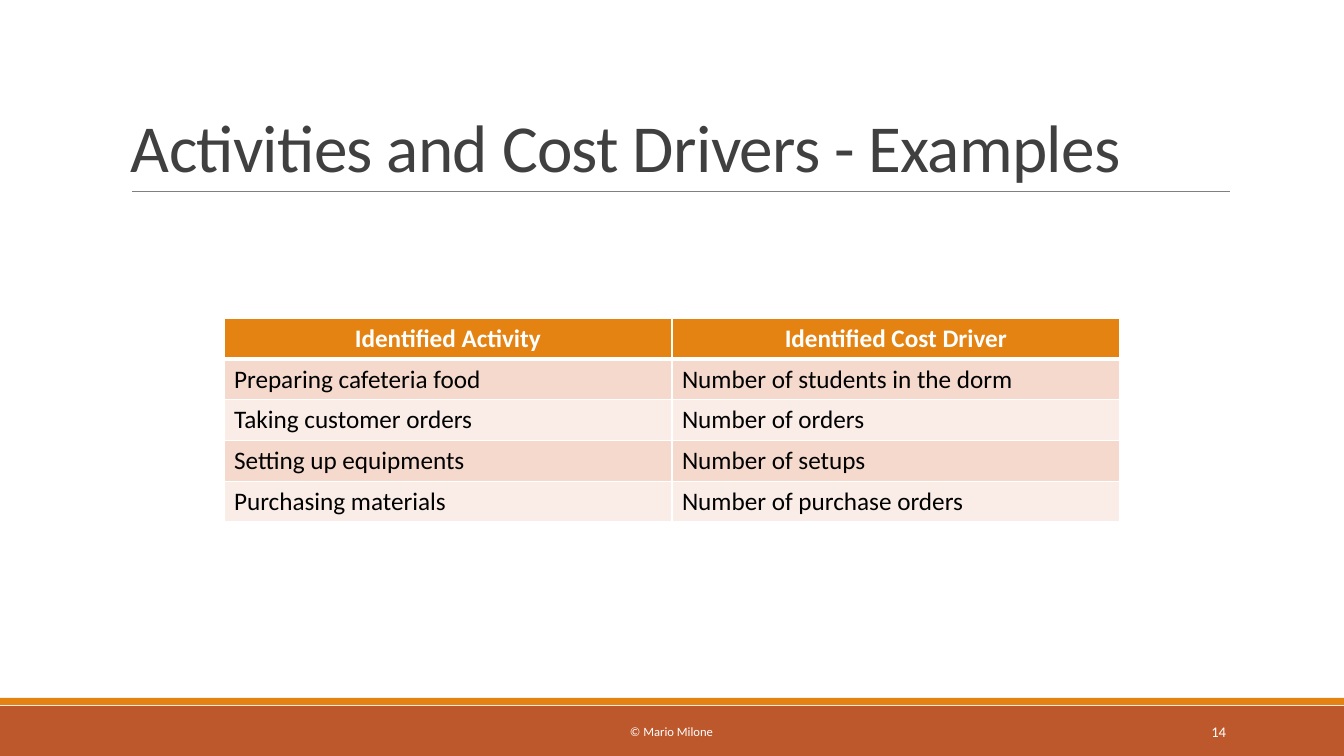
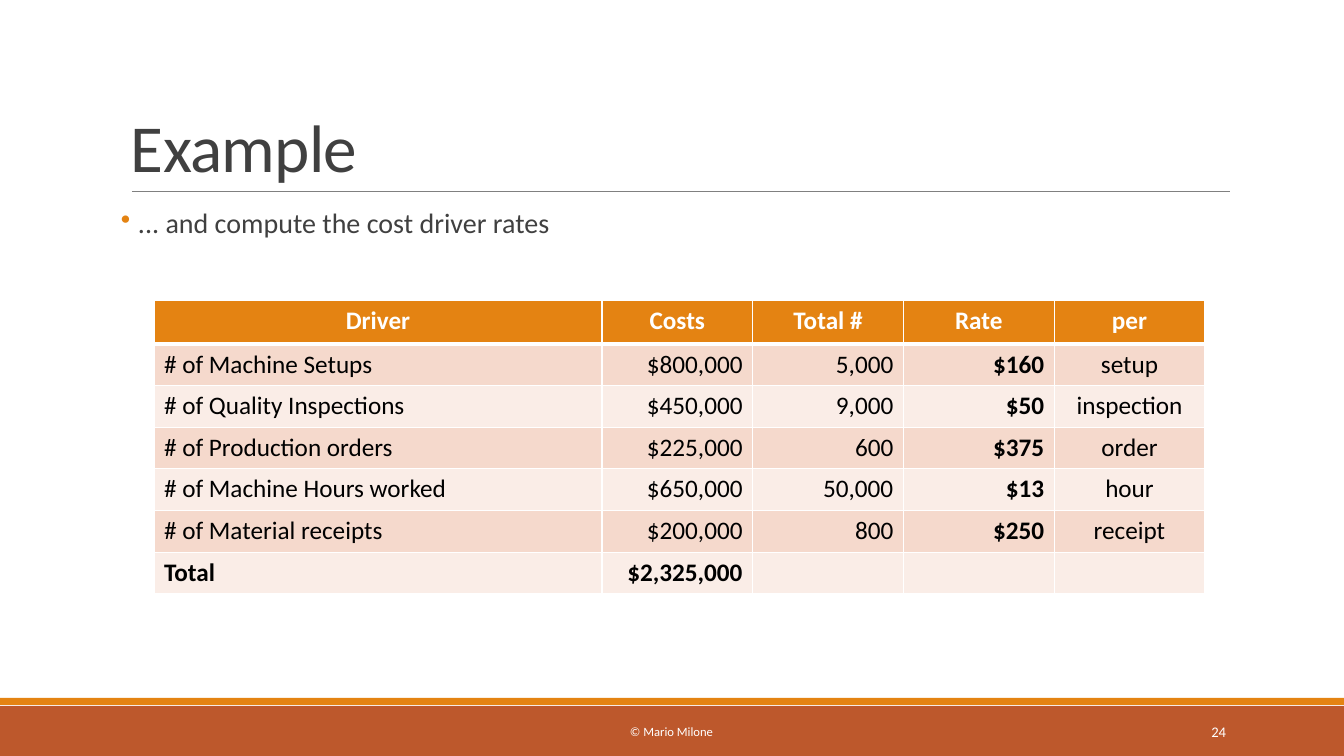
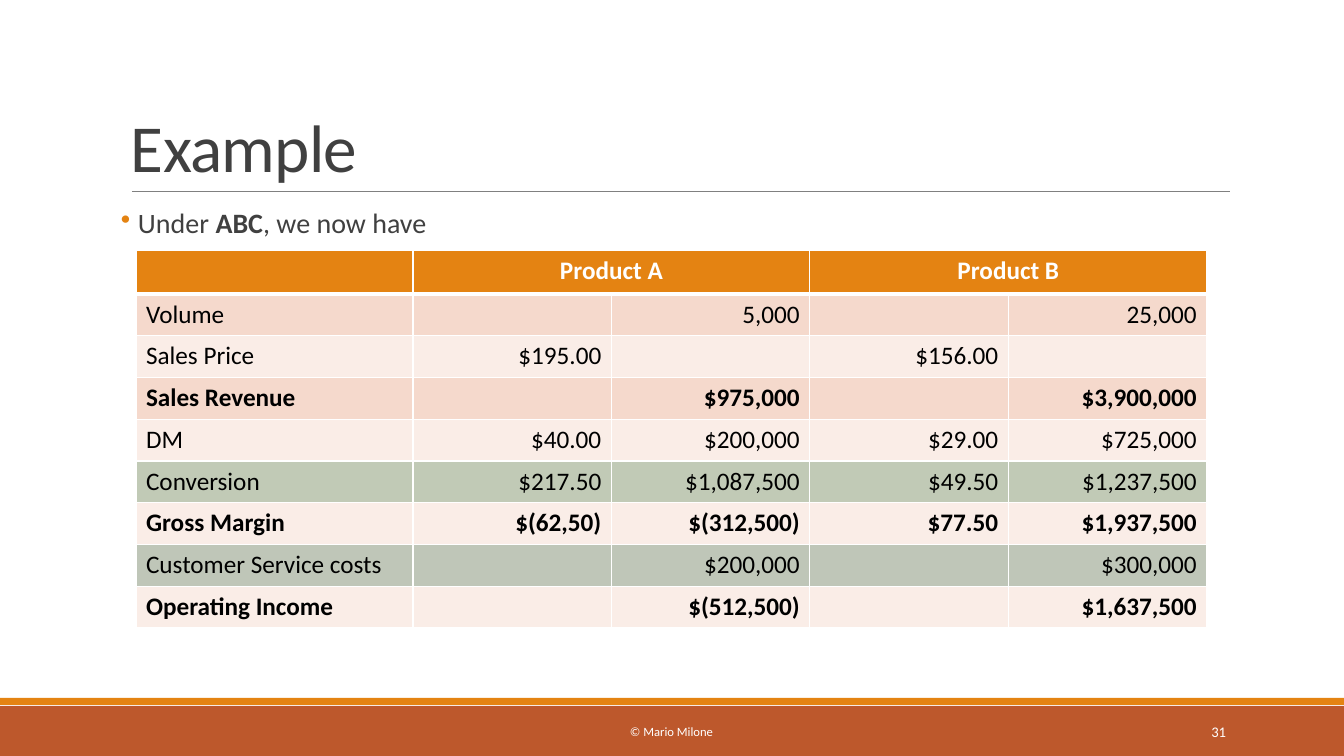
from dataclasses import dataclass

from lxml import etree
from pptx import Presentation
from pptx import util as u
from pptx.dml.color import RGBColor
from pptx.enum import shapes, text
from pptx.oxml.ns import qn

LEFT, CENTER, RIGHT = text.PP_ALIGN.LEFT, text.PP_ALIGN.CENTER, text.PP_ALIGN.RIGHT
TOP, MIDDLE, BOTTOM = text.MSO_ANCHOR.TOP, text.MSO_ANCHOR.MIDDLE, text.MSO_ANCHOR.BOTTOM


@dataclass(frozen=True)
class Theme:
    font: str = "Calibri"
    orange: str = "E48312"
    rust: str = "BD582C"
    ink: str = "404040"
    rule: str = "808080"
    white: str = "FFFFFF"
    black: str = "000000"
    stripes: tuple = ("F5D9CC", "FAEDE7")
    title_size: float = 48
    lead_size: float = 20
    table_size: float = 18
    number_size: float = 10.5
    footer_size: float = 9


THEME = Theme()
SLIDE_WIDTH, SLIDE_HEIGHT = 1344, 756
FOOTER = "© Mario Milone"

# lead: (words, bold) spans; None in a header joins the cell to the one on its left
SLIDES = [
    {
        "title": "Activities and Cost Drivers - Examples",
        "number": "14",
        "table": {
            "area": (224, 318, 896, 204),
            "first_column": 448,
            "header_height": 41,
            "aligns": (LEFT, LEFT),
            "header": ("Identified Activity", "Identified Cost Driver"),
            "rows": [
                ("Preparing cafeteria food", "Number of students in the dorm"),
                ("Taking customer orders", "Number of orders"),
                ("Setting up equipments", "Number of setups"),
                ("Purchasing materials", "Number of purchase orders"),
            ],
        },
    },
    {
        "title": "Example",
        "number": "24",
        "lead": [("... and compute the cost driver rates", False)],
        "table": {
            "area": (154, 300, 1051, 294),
            "first_column": 448,
            "header_height": 44,
            "aligns": (LEFT, RIGHT, RIGHT, RIGHT, CENTER),
            "header": ("Driver", "Costs", "Total #", "Rate", "per"),
            "rows": [
                ("# of Machine Setups", "$800,000", "5,000", "$160", "setup"),
                ("# of Quality Inspections", "$450,000", "9,000", "$50", "inspection"),
                ("# of Production orders", "$225,000", "600", "$375", "order"),
                ("# of Machine Hours worked", "$650,000", "50,000", "$13", "hour"),
                ("# of Material receipts", "$200,000", "800", "$250", "receipt"),
                ("Total", "$2,325,000", "", "", ""),
            ],
            "bold_rows": {"Total"},
            "bold_columns": {"Rate"},
        },
    },
    {
        "title": "Example",
        "number": "31",
        "lead": [("Under ", False), ("ABC", True), (", we now have", False)],
        "table": {
            "area": (136, 250, 1071, 378),
            "first_column": 277,
            "header_height": 44,
            "aligns": (LEFT, RIGHT, RIGHT, RIGHT, RIGHT),
            "header": ("", "Product A", None, "Product B", None),
            "rows": [
                ("Volume", "", "5,000", "", "25,000"),
                ("Sales Price", "$195.00", "", "$156.00", ""),
                ("Sales Revenue", "", "$975,000", "", "$3,900,000"),
                ("DM", "$40.00", "$200,000", "$29.00", "$725,000"),
                ("Conversion", "$217.50", "$1,087,500", "$49.50", "$1,237,500"),
                ("Gross Margin", "$(62,50)", "$(312,500)", "$77.50", "$1,937,500"),
                ("Customer Service costs", "", "$200,000", "", "$300,000"),
                ("Operating Income", "", "$(512,500)", "", "$1,637,500"),
            ],
            "bold_rows": {"Sales Revenue", "Gross Margin", "Operating Income"},
            "row_fills": {"Conversion": "C1CAB6", "Customer Service costs": "BFC6B8"},
        },
    },
]


def px(length):
    return u.Emu(round(length * 12192000 / SLIDE_WIDTH))


def color(code):
    return RGBColor.from_string(code)


def style(font, size, code, bold=False):
    font.name, font.size, font.bold = THEME.font, u.Pt(size), bold
    font.color.rgb = color(code)


def add_text(page, area, spans, size, code, align=LEFT, anchor=TOP, side_inset=10):
    """Add a one-paragraph box made of (words, bold) spans and return the paragraph."""
    frame = page.shapes.add_textbox(*map(px, area)).text_frame
    frame.word_wrap = True
    frame.vertical_anchor = anchor
    frame.margin_left = frame.margin_right = px(side_inset)
    frame.margin_top = frame.margin_bottom = px(5)
    para = frame.paragraphs[0]
    para.alignment = align
    for words, bold in spans:
        span = para.add_run()
        span.text = words
        style(span.font, size, code, bold)
    return para


def add_band(page, top, height, code):
    band = page.shapes.add_shape(
        shapes.MSO_SHAPE.RECTANGLE, 0, px(top), px(SLIDE_WIDTH), px(height))
    band.shadow.inherit = False
    band.fill.solid()
    band.fill.fore_color.rgb = color(code)
    band.line.fill.background()


def add_frame(page, title, number):
    """Add the bands, rule, title and footer found on every slide."""
    add_band(page, 706, 50, THEME.rust)
    add_band(page, 698, 7, THEME.orange)
    rule = page.shapes.add_connector(
        shapes.MSO_CONNECTOR.STRAIGHT, px(132), px(191), px(1230), px(191))
    rule.line.color.rgb = color(THEME.rule)
    rule.line.width = u.Pt(0.5)
    etree.SubElement(rule._element.spPr, qn("a:effectLst"))

    heading = add_text(page, (121, 31, 1109, 160), [(title, False)],
                       THEME.title_size, THEME.ink, anchor=BOTTOM)
    heading.line_spacing = 0.85
    heading.runs[0].font._element.set("spc", "-50")
    add_text(page, (406, 712, 531, 40), [(FOOTER, False)],
             THEME.footer_size, THEME.white, CENTER, MIDDLE)
    add_text(page, (1092, 712, 144, 40), [(number, False)],
             THEME.number_size, THEME.white, RIGHT, MIDDLE)


def add_lead(page, spans):
    para = add_text(page, (121, 204, 1109, 444), spans,
                    THEME.lead_size, THEME.ink, side_inset=0)
    para.line_spacing = 0.9
    para.space_after = u.Pt(2)
    props = para._element.get_or_add_pPr()
    props.set("marL", str(px(17)))
    props.set("indent", str(px(-17)))
    bullet_color = etree.SubElement(props, qn("a:buClr"))
    etree.SubElement(bullet_color, qn("a:srgbClr"), val=THEME.orange)
    etree.SubElement(props, qn("a:buChar"), char="•")


def set_borders(cell, top, bottom):
    """Draw white borders, with the top and bottom widths in points."""
    props = cell._tc.get_or_add_tcPr()
    sides = (("L", 1), ("R", 1), ("T", top), ("B", bottom))
    for place, (side, width) in enumerate(sides):
        line = etree.Element(qn(f"a:ln{side}"), w=str(u.Pt(width)))
        fill = etree.SubElement(line, qn("a:solidFill"))
        etree.SubElement(fill, qn("a:srgbClr"), val=THEME.white)
        props.insert(place, line)


def fill_cell(cell, words, fill, code, align, bold):
    cell.fill.solid()
    cell.fill.fore_color.rgb = color(fill)
    cell.text_frame.text = words
    para = cell.text_frame.paragraphs[0]
    para.alignment = align
    style(para.font, THEME.table_size, code, bold)
    for span in para.runs:
        style(span.font, THEME.table_size, code, bold)


def add_grid(page, data):
    header, rows = data["header"], data["rows"]
    width, height = data["area"][2:]
    grid = page.shapes.add_table(
        len(rows) + 1, len(header), *map(px, data["area"])).table

    first, top = data["first_column"], data["header_height"]
    for index, column in enumerate(grid.columns):
        column.width = px((width - first) / (len(header) - 1) if index else first)
    for index, row in enumerate(grid.rows):
        row.height = px((height - top) / len(rows) if index else top)

    for index, words in enumerate(header):
        cell = grid.cell(0, index)
        fill_cell(cell, words or "", THEME.orange, THEME.white, CENTER, True)
        set_borders(cell, 1, 3)
        if words is None:
            grid.cell(0, index - 1).merge(cell)

    for number, row in enumerate(rows):
        label = row[0]
        fill = data.get("row_fills", {}).get(label, THEME.stripes[number % 2])
        for index, words in enumerate(row):
            cell = grid.cell(number + 1, index)
            bold = (label in data.get("bold_rows", ())
                    or header[index] in data.get("bold_columns", ()))
            fill_cell(cell, words, fill, THEME.black, data["aligns"][index], bold)
            set_borders(cell, 1 if number else 3, 1)


def main():
    deck = Presentation()
    deck.slide_width, deck.slide_height = px(SLIDE_WIDTH), px(SLIDE_HEIGHT)
    for content in SLIDES:
        page = deck.slides.add_slide(deck.slide_layouts[6])
        add_frame(page, content["title"], content["number"])
        if "lead" in content:
            add_lead(page, content["lead"])
        add_grid(page, content["table"])
    deck.save("out.pptx")


if __name__ == "__main__":
    main()
